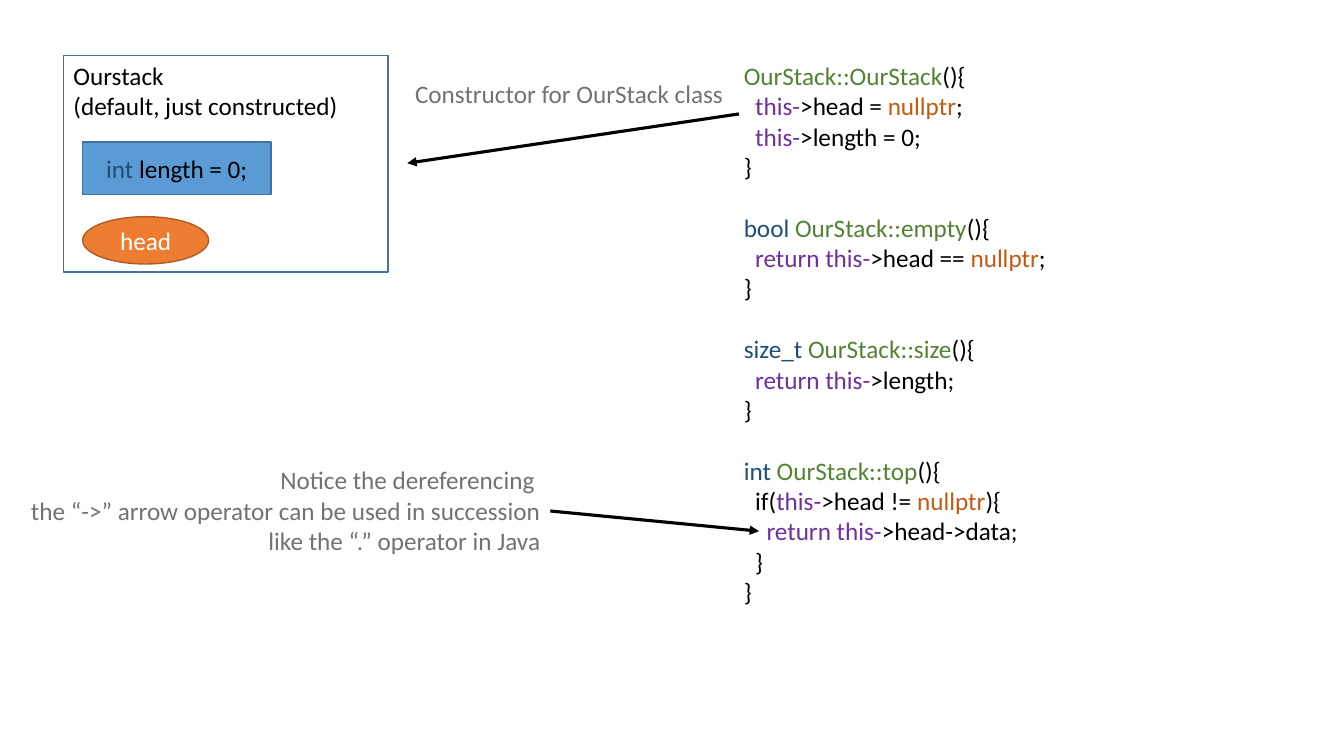
import pptx
import pptx.util
import pptx.dml.color
import pptx.enum.shapes
import pptx.enum.text
import pptx.oxml.ns
import lxml.etree

Pt = pptx.util.Pt
Shape = pptx.enum.shapes.MSO_SHAPE
Align = pptx.enum.text.PP_ALIGN
Anchor = pptx.enum.text.MSO_ANCHOR
qn = pptx.oxml.ns.qn

COLORS = {
    "plain": "000000", "name": "548235", "keyword": "7030A0",
    "literal": "C55A11", "type": "1F4E79", "note": "767171",
    "white": "FFFFFF", "blue": "5B9BD5", "blue_line": "43739E",
    "orange": "ED7D31", "orange_line": "AF5C24",
}
INDENT = 8.14
BLANK_LINE = 22


def rgb(key):
    return pptx.dml.color.RGBColor.from_string(COLORS[key])


def write(frame, lines, align=Align.LEFT, anchor=Anchor.TOP, wrap=True):
    frame.word_wrap = wrap
    frame.vertical_anchor = anchor
    for number, line in enumerate(lines):
        paragraph = frame.paragraphs[0] if number == 0 else frame.add_paragraph()
        paragraph.alignment = align
        for color, text in line:
            run = paragraph.add_run()
            run.text = text
            run.font.name = "Calibri"
            run.font.size = Pt(18)
            run.font.color.rgb = rgb(color)


presentation = pptx.Presentation()
presentation.slide_width = Pt(960)
presentation.slide_height = Pt(540)
slide = presentation.slides.add_slide(presentation.slide_layouts[6])

methods = [
    [
        (0, [("name", "OurStack::OurStack"), ("plain", "(){")]),
        (1, [("keyword", "this-"), ("plain", ">head = "), ("literal", "nullptr"), ("plain", ";")]),
        (1, [("keyword", "this-"), ("plain", ">length = 0;")]),
        (0, [("plain", "}")]),
    ],
    [
        (0, [("type", "bool "), ("name", "OurStack::empty"), ("plain", "(){")]),
        (1, [("keyword", "return this-"), ("plain", ">head == "), ("literal", "nullptr"), ("plain", ";")]),
        (0, [("plain", "}")]),
    ],
    [
        (0, [("type", "size_t "), ("name", "OurStack::size"), ("plain", "(){")]),
        (1, [("keyword", "return this-"), ("plain", ">length;")]),
        (0, [("plain", "}")]),
    ],
    [
        (0, [("type", "int "), ("name", "OurStack::top"), ("plain", "(){")]),
        (1, [("plain", "if("), ("keyword", "this-"), ("plain", ">head != "), ("literal", "nullptr"), ("plain", "){")]),
        (2, [("keyword", "return this-"), ("plain", ">head->data;")]),
        (1, [("plain", "}")]),
        (0, [("plain", "}")]),
    ],
]
code = slide.shapes.add_textbox(Pt(524.2), Pt(39.6), Pt(374.4), Pt(399.6)).text_frame
write(code, [runs for method in methods for level, runs in method])
code_paragraphs = iter(code.paragraphs)
for method_number, method in enumerate(methods):
    for line_number, (level, runs) in enumerate(method):
        paragraph = next(code_paragraphs)
        if level:
            paragraph._p.get_or_add_pPr().set("marL", str(Pt(INDENT * level)))
        if method_number and line_number == 0:
            paragraph.space_before = Pt(BLANK_LINE)

dereferencing = slide.shapes.add_textbox(Pt(8.6), Pt(328.3), Pt(384.5), Pt(72.7))
write(dereferencing.text_frame, [
    [("note", "Notice the dereferencing ")],
    [("note", "the “->” arrow operator can be used in succession like the “.” operator in Java")],
], align=Align.RIGHT)

constructor = slide.shapes.add_textbox(Pt(289.4), Pt(52.6), Pt(234.7), Pt(28.8))
write(constructor.text_frame, [[("note", "Constructor for OurStack class")]], wrap=False)

stack_parts = [
    (Shape.RECTANGLE, (45.4, 39.6, 231.8, 154.8), None, "blue_line", Align.LEFT, Anchor.TOP,
     [[("plain", "Ourstack")], [("plain", "(default, just constructed)")]]),
    (Shape.RECTANGLE, (59, 101.5, 134.6, 37.4), "blue", "blue_line", Align.CENTER, Anchor.MIDDLE,
     [[("type", "int"), ("plain", " length = 0;")]]),
    (Shape.OVAL, (59, 154.8, 90, 33.8), "orange", "orange_line", Align.CENTER, Anchor.MIDDLE,
     [[("white", "head")]]),
]
for outline, place, fill, border, align, anchor, lines in stack_parts:
    part = slide.shapes.add_shape(outline, *map(Pt, place))
    part.shadow.inherit = False
    if fill:
        part.fill.solid()
        part.fill.fore_color.rgb = rgb(fill)
    else:
        part.fill.background()
    part.line.color.rgb = rgb(border)
    part.line.width = Pt(1)
    write(part.text_frame, lines, align, anchor)

for ends in [(393.1, 365, 542.2, 379.4), (527.8, 81.4, 290.9, 116.6)]:
    arrow = slide.shapes.add_connector(pptx.enum.shapes.MSO_CONNECTOR.STRAIGHT, *map(Pt, ends))
    arrow.line.color.rgb = rgb("plain")
    arrow.line.width = Pt(2.25)
    lxml.etree.SubElement(arrow.line._get_or_add_ln(), qn("a:tailEnd"), type="triangle")
    lxml.etree.SubElement(arrow._element.spPr, qn("a:effectLst"))

presentation.save("out.pptx")
